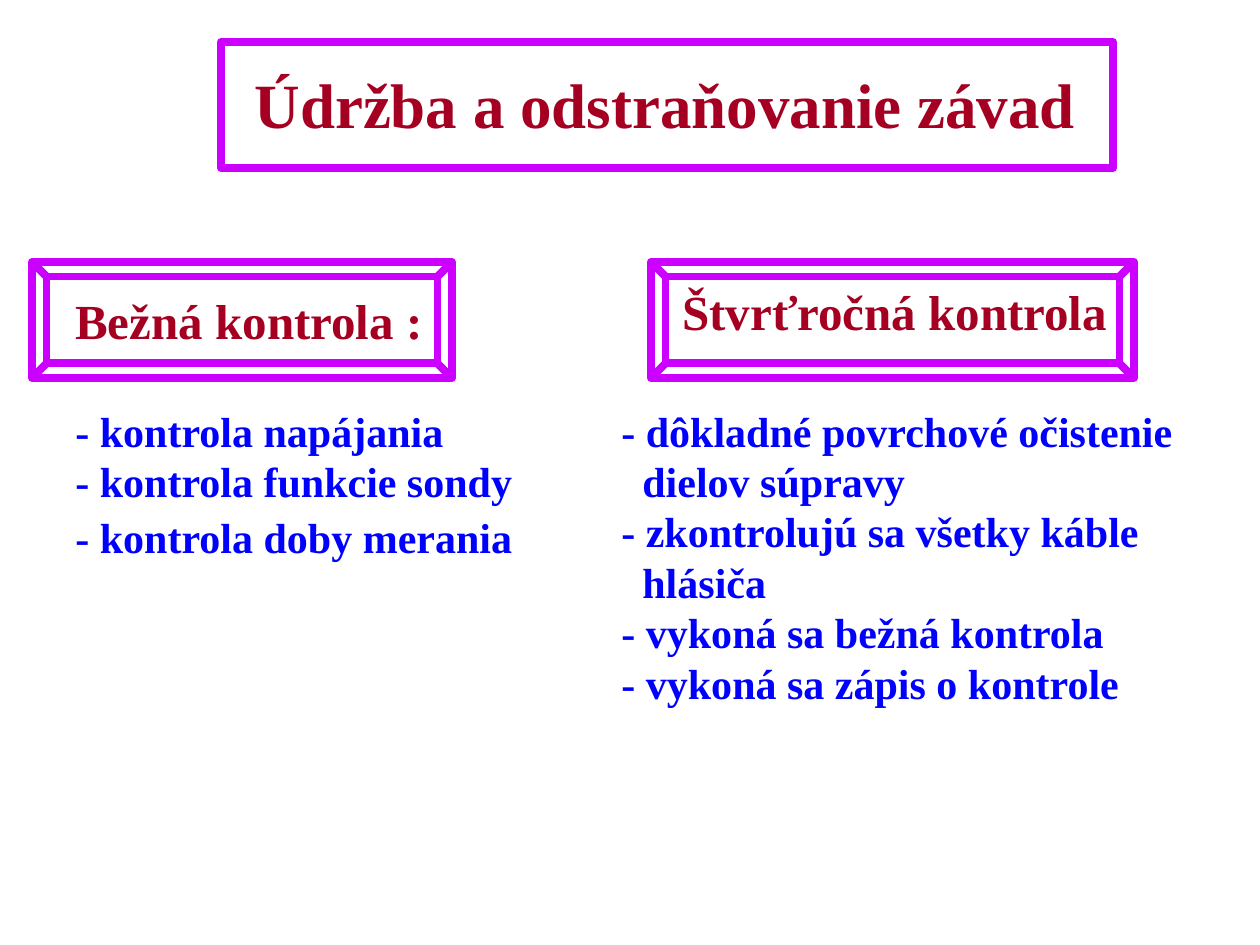
from pptx import Presentation
from pptx.dml.color import RGBColor
from pptx.enum.shapes import MSO_SHAPE
from pptx.enum.text import MSO_ANCHOR, MSO_AUTO_SIZE, PP_ALIGN
from pptx.util import Emu, Pt

RECT, BEVEL = MSO_SHAPE.RECTANGLE, MSO_SHAPE.BEVEL
TOP, LEFT = MSO_ANCHOR.TOP, PP_ALIGN.LEFT
NO_FIT = MSO_AUTO_SIZE.NONE

RED = RGBColor(0xA5, 0x00, 0x21)
BLUE = RGBColor(0x00, 0x00, 0xFF)
PURPLE = RGBColor(0xCC, 0x00, 0xFF)
FONT = "Times New Roman"
INDENT = 21  # px, for a continued item

DAILY = ["- kontrola napájania", "- kontrola funkcie sondy",
         "- kontrola doby merania"]
QUARTER = [
    ("- dôkladné povrchové očistenie", 0),
    ("dielov súpravy", INDENT),
    ("- zkontrolujú sa všetky káble", 0),
    ("hlásiča", INDENT),
    ("- vykoná sa bežná kontrola", 0),
    ("- vykoná sa zápis o kontrole", 0),
]


def px(n):
    return Emu(round(n * 914400 / 126))


def place(shape, box):
    shape.left, shape.top, shape.width, shape.height = map(px, box)


def add_frame(slide, kind, box):
    frame = slide.shapes.add_shape(kind, *map(px, box))
    frame.shadow.inherit = False
    frame.fill.background()
    frame.line.color.rgb = PURPLE
    frame.line.width = Pt(4.5)


def write(shape, lines):
    """Each line is text, size, colour, indent in px, space before in pt."""
    frame = shape.text_frame
    frame.word_wrap = True
    frame.auto_size = NO_FIT
    frame.vertical_anchor = TOP
    for i, (text, size, color, indent, gap) in enumerate(lines):
        para = frame.add_paragraph() if i else frame.paragraphs[0]
        para.alignment = LEFT
        para.space_before = Pt(gap)
        if indent:
            para._p.get_or_add_pPr().set("marL", str(px(indent)))
        run = para.add_run()
        run.text = text
        font = run.font
        font.name, font.size, font.bold = FONT, Pt(size), True
        font.color.rgb = color


def add_text(slide, box, lines):
    write(slide.shapes.add_textbox(*map(px, box)), lines)


def main():
    prs = Presentation()
    prs.slide_width, prs.slide_height = px(1260), px(945)
    slide = prs.slides.add_slide(prs.slide_layouts[5])

    # Title
    title = slide.shapes.title
    place(title, (242, 59, 862, 88))
    write(title, [("Údržba a odstraňovanie závad", 36, RED, 0, 0)])

    # Routine check: heading and items share one box
    gaps = [32, 0, 3.5]
    items = [(text, 24, BLUE, 0, gap) for text, gap in zip(DAILY, gaps)]
    add_text(slide, (63, 284, 475, 290),
             [("Bežná kontrola :", 28, RED, 0, 0)] + items)
    add_frame(slide, BEVEL, (32, 262, 420, 116))

    # Quarterly check
    add_text(slide, (670, 275, 462, 72),
             [("Štvrťročná kontrola", 28, RED, 0, 0)])
    add_frame(slide, BEVEL, (651, 262, 483, 116))
    add_text(slide, (609, 399, 587, 315),
             [(text, 24, BLUE, indent, 0) for text, indent in QUARTER])

    # Title frame
    add_frame(slide, RECT, (221, 42, 892, 126))
    prs.save("out.pptx")


if __name__ == "__main__":
    main()
